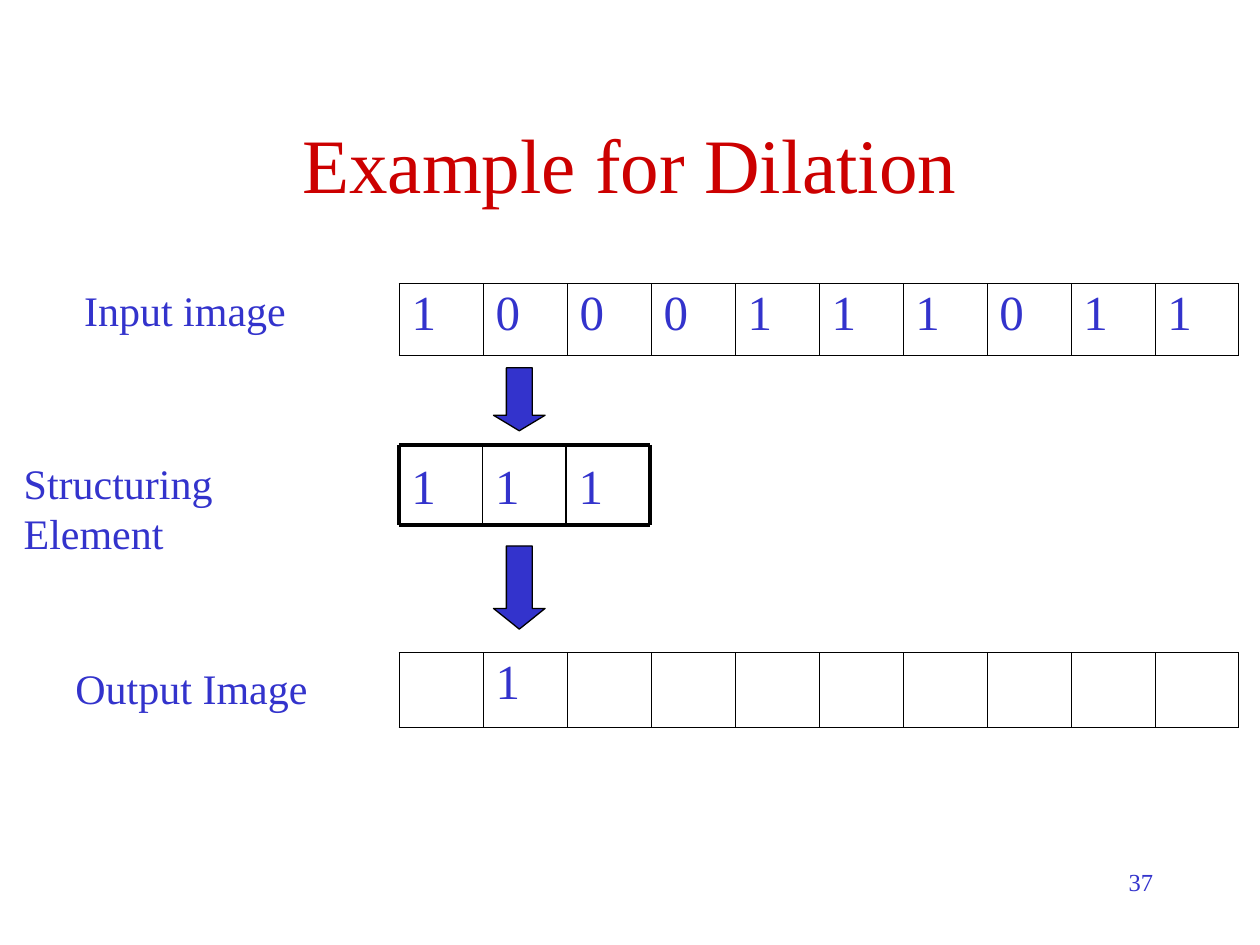
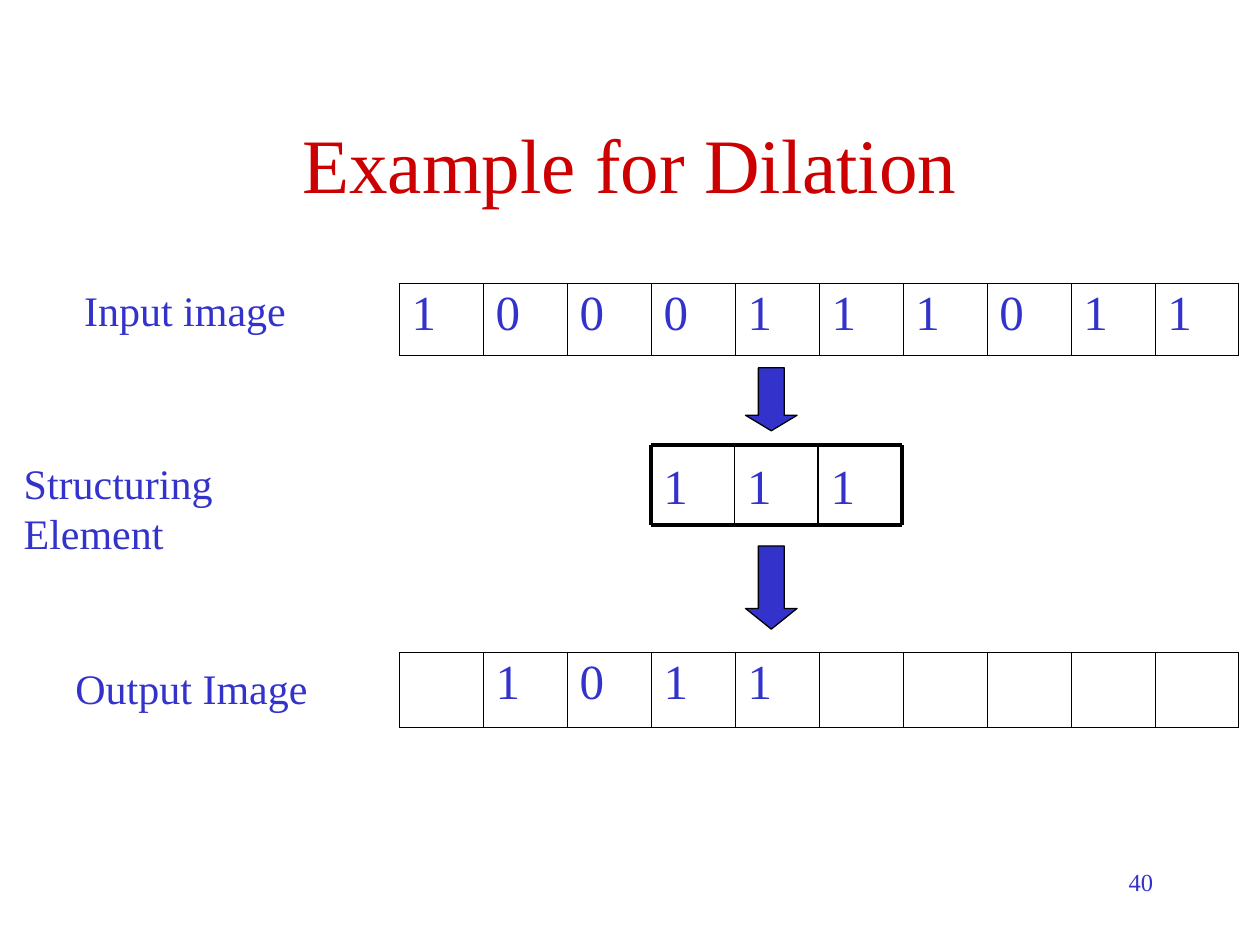
from lxml import etree
from pptx import Presentation
from pptx.dml.color import RGBColor
from pptx.enum import shapes, text
from pptx.oxml import ns
from pptx.util import Pt

TITLE = "Example for Dilation"
LABELS = [
    ("Input image", 41, 159, 129.6),
    ("Structuring Element", 6.5, 257.8, 208),
    ("Output Image", 36, 375.1, 146.9),
]
INPUT = "1000111011"
ELEMENT = "111"
STEPS = [
    {"number": "37", "first": 0, "output": " 1        "},
    {"number": "40", "first": 3, "output": " 1011     "},
]

COLOURS = {"title": "CC0000", "body": "3333CC", "line": "000000"}
FONT = "Times New Roman"
LEFT, CELL = 228, 48
INPUT_ROW = (162, 41)
OUTPUT_ROW = (373, 42.5)
ELEMENT_TOP, ELEMENT_HEIGHT, ELEMENT_CELL = 254.2, 46, 47.8
ARROW_OFFSET, ARROW_WIDTH = 54, 29.5
ARROWS = [(312, 47.5, 0.4), (210.2, 36, 0.3)]


def colour(name):
    return RGBColor.from_string(COLOURS[name])


def write(frame, words, size, ink="body", align=text.PP_ALIGN.LEFT,
          anchor=text.MSO_ANCHOR.TOP, wrap=True, spacing=None):
    frame.word_wrap = wrap
    frame.vertical_anchor = anchor
    paragraph = frame.paragraphs[0]
    paragraph.alignment = align
    paragraph.line_spacing = spacing
    run = paragraph.add_run()
    run.text = words
    run.font.name = FONT
    run.font.size = Pt(size)
    run.font.color.rgb = colour(ink)


def add_text(slide, words, left, top, width, height, **style):
    box = slide.shapes.add_textbox(Pt(left), Pt(top), Pt(width), Pt(height))
    write(box.text_frame, words, **style)


def add_border(cell, side, width):
    border = etree.SubElement(cell._tc.get_or_add_tcPr(), ns.qn(f"a:ln{side}"),
                              w=str(Pt(width)))
    fill = etree.SubElement(border, ns.qn("a:solidFill"))
    etree.SubElement(fill, ns.qn("a:srgbClr"), val=COLOURS["line"])


def add_pixels(slide, pixels, top, height):
    count = len(pixels)
    table = slide.shapes.add_table(1, count, Pt(LEFT), Pt(top),
                                   Pt(count * CELL), Pt(height)).table
    table.first_row = table.horz_banding = False
    table.rows[0].height = Pt(height)
    for i, pixel in enumerate(pixels):
        table.columns[i].width = Pt(CELL)
        cell = table.cell(0, i)
        add_border(cell, "L", 0.5 if i == 0 else 0.23)
        add_border(cell, "R", 0.5 if i == count - 1 else 0.23)
        add_border(cell, "T", 0.5)
        add_border(cell, "B", 0.5)
        cell.fill.background()
        if pixel != " ":
            write(cell.text_frame, pixel, size=28, spacing=0.93)


def add_line(slide, x1, y1, x2, y2, width):
    line = slide.shapes.add_connector(shapes.MSO_CONNECTOR.STRAIGHT,
                                      Pt(x1), Pt(y1), Pt(x2), Pt(y2))
    line.line.color.rgb = colour("line")
    line.line.width = Pt(width)
    etree.SubElement(line._element.spPr, ns.qn("a:effectLst"))


def add_element(slide, left):
    count = len(ELEMENT)
    right = left + count * ELEMENT_CELL
    bottom = ELEMENT_TOP + ELEMENT_HEIGHT
    for i, value in enumerate(ELEMENT):
        add_text(slide, value, left + i * ELEMENT_CELL, ELEMENT_TOP,
                 ELEMENT_CELL, ELEMENT_HEIGHT, size=28,
                 anchor=text.MSO_ANCHOR.MIDDLE)
    for y in (ELEMENT_TOP, bottom):
        add_line(slide, left, y, right, y, 2.25)
    for i in range(count + 1):
        x = left + i * ELEMENT_CELL
        add_line(slide, x, ELEMENT_TOP, x, bottom,
                 2.25 if i in (0, count) else 1)


def add_arrow(slide, left, top, height, head):
    arrow = slide.shapes.add_shape(shapes.MSO_SHAPE.DOWN_ARROW, Pt(left),
                                   Pt(top), Pt(ARROW_WIDTH), Pt(height))
    arrow.adjustments[0] = 0.5
    arrow.adjustments[1] = head
    arrow.shadow.inherit = False
    arrow.fill.solid()
    arrow.fill.fore_color.rgb = colour("body")
    arrow.line.color.rgb = colour("line")
    arrow.line.width = Pt(0.75)


def add_step(deck, step):
    slide = deck.slides.add_slide(deck.slide_layouts[6])
    add_text(slide, TITLE, 54, 48, 612, 90, size=44, ink="title",
             align=text.PP_ALIGN.CENTER, anchor=text.MSO_ANCHOR.MIDDLE)
    add_text(slide, step["number"], 516, 492, 150, 36, size=14,
             align=text.PP_ALIGN.RIGHT)
    for label, left, top, width in LABELS:
        add_text(slide, label, left, top, width, 36, size=24, wrap=False)
    add_pixels(slide, INPUT, *INPUT_ROW)
    add_pixels(slide, step["output"], *OUTPUT_ROW)
    left = LEFT + step["first"] * CELL
    add_element(slide, left)
    for top, height, head in ARROWS:
        add_arrow(slide, left + ARROW_OFFSET, top, height, head)


def main():
    deck = Presentation()
    deck.slide_width, deck.slide_height = Pt(720), Pt(540)
    for step in STEPS:
        add_step(deck, step)
    deck.save("out.pptx")


if __name__ == "__main__":
    main()
